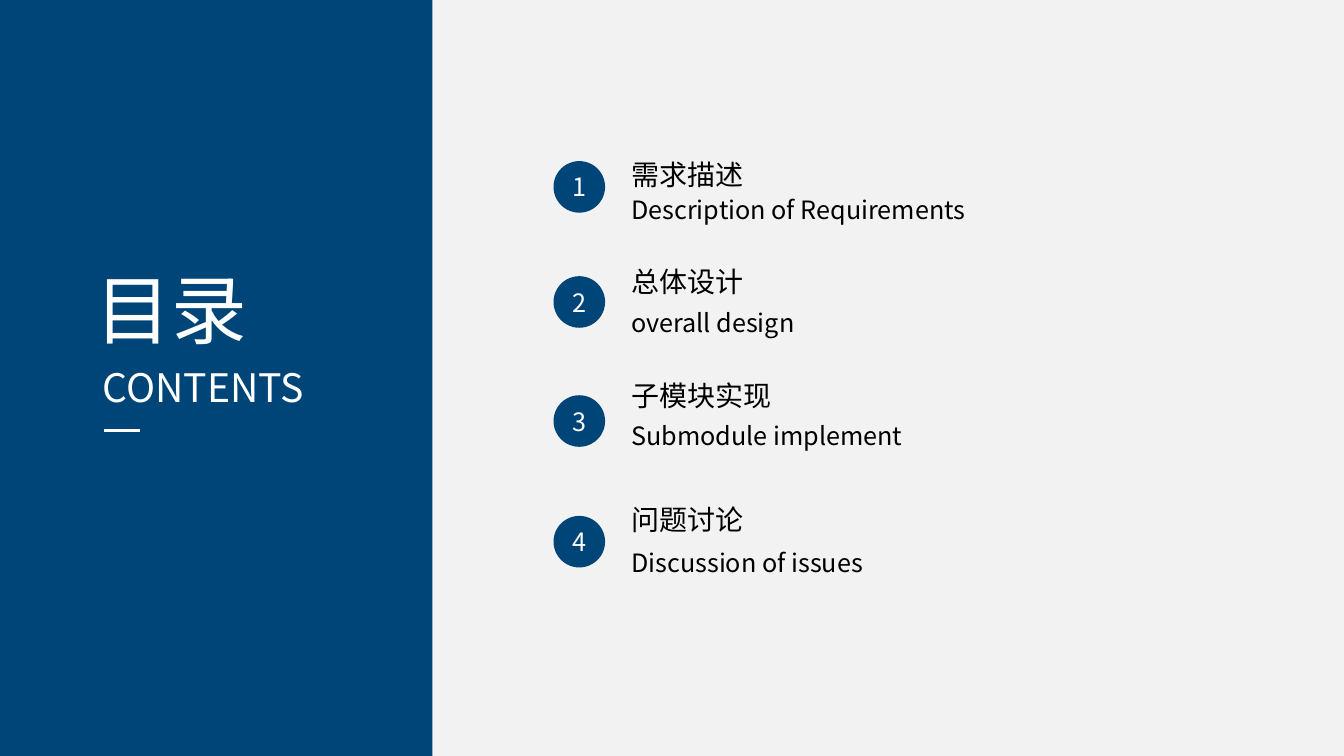
import dataclasses

import lxml.etree
import pptx
import pptx.dml.color
import pptx.enum.shapes
import pptx.enum.text
import pptx.oxml.ns
import pptx.util

Cm = pptx.util.Cm
Align = pptx.enum.text.PP_ALIGN
Anchor = pptx.enum.text.MSO_ANCHOR
Preset = pptx.enum.shapes.MSO_SHAPE


@dataclasses.dataclass(frozen=True)
class Theme:
    font: str = "Noto Sans CJK SC"
    background: str = "F2F2F2"
    accent: str = "004578"
    light: str = "FFFFFF"
    dark: str = "000000"
    title_size: int = 54
    subtitle_size: int = 28
    heading_size: int = 20
    body_size: int = 18
    rule_width: float = 2.25


def rgb(value):
    return pptx.dml.color.RGBColor.from_string(value)


def write_text(frame, text, *, font, size, color, align=Align.LEFT):
    paragraph = frame.paragraphs[0]
    paragraph.alignment = align
    run = paragraph.add_run()
    run.text = text
    run.font.name = font
    run.font.size = pptx.util.Pt(size)
    run.font.color.rgb = rgb(color)
    east_asian = lxml.etree.SubElement(run.font._element, pptx.oxml.ns.qn("a:ea"))
    east_asian.set("typeface", font)


class SlideBuilder:
    def __init__(self, slide, theme):
        self.slide = slide
        self.theme = theme
        slide.background.fill.solid()
        slide.background.fill.fore_color.rgb = rgb(theme.background)

    def shape(self, preset, left, top, width, height):
        shape = self.slide.shapes.add_shape(
            preset, Cm(left), Cm(top), Cm(width), Cm(height))
        shape.shadow.inherit = False
        shape.fill.solid()
        shape.fill.fore_color.rgb = rgb(self.theme.accent)
        shape.line.fill.background()
        return shape

    def badge(self, number, left, top, diameter):
        shape = self.shape(Preset.OVAL, left, top, diameter, diameter)
        frame = shape.text_frame
        frame.vertical_anchor = Anchor.MIDDLE
        write_text(frame, str(number), font=self.theme.font, size=self.theme.body_size,
                   color=self.theme.light, align=Align.CENTER)

    def text(self, text, left, top, width, height, **text_format):
        shape = self.slide.shapes.add_textbox(Cm(left), Cm(top), Cm(width), Cm(height))
        frame = shape.text_frame
        frame.word_wrap = True
        frame.auto_size = pptx.enum.text.MSO_AUTO_SIZE.SHAPE_TO_FIT_TEXT
        write_text(frame, text, font=self.theme.font, **text_format)

    def rule(self, left, right, y):
        connector = self.slide.shapes.add_connector(
            pptx.enum.shapes.MSO_CONNECTOR.STRAIGHT, Cm(left), Cm(y), Cm(right), Cm(y))
        connector.line.color.rgb = rgb(self.theme.light)
        connector.line.width = pptx.util.Pt(self.theme.rule_width)
        lxml.etree.SubElement(connector._element.spPr, pptx.oxml.ns.qn("a:effectLst"))


def main():
    presentation = pptx.Presentation()
    presentation.slide_width = Cm(33.87)
    presentation.slide_height = Cm(19.05)
    theme = Theme()
    builder = SlideBuilder(
        presentation.slides.add_slide(presentation.slide_layouts[6]), theme)

    builder.shape(Preset.RECTANGLE, 0, 0, 10.9, 19.05)
    builder.text("目录", 2.16, 6.5, 4.52, 2.57, size=theme.title_size,
                 color=theme.light, align=Align.JUSTIFY)
    builder.text("CONTENTS", 2.34, 9.04, 6.22, 1.45, size=theme.subtitle_size,
                 color=theme.light, align=Align.JUSTIFY)
    builder.rule(2.62, 3.53, 10.85)

    chapters = [
        ("需求描述", 3.84, 3.89, "Description of Requirements", 4.78, 9.96, 4.06),
        ("总体设计", 6.53, 3.89, "overall design", 7.62, 7.47, 6.96),
        ("子模块实现", 9.42, 5.0, "Submodule implement", 10.46, 9.98, 9.96),
        ("问题讨论", 12.55, 3.61, "Discussion of issues", 13.67, 7.42, 13.0),
    ]
    for number, chapter in enumerate(chapters, start=1):
        (heading, heading_top, heading_width,
         translation, translation_top, translation_width, badge_top) = chapter
        builder.badge(number, 13.95, badge_top, 1.3)
        builder.text(heading, 15.66, heading_top, heading_width, 1.12,
                     size=theme.heading_size, color=theme.dark)
        builder.text(translation, 15.66, translation_top, translation_width, 1.02,
                     size=theme.body_size, color=theme.dark)

    presentation.save("out.pptx")


if __name__ == "__main__":
    main()
